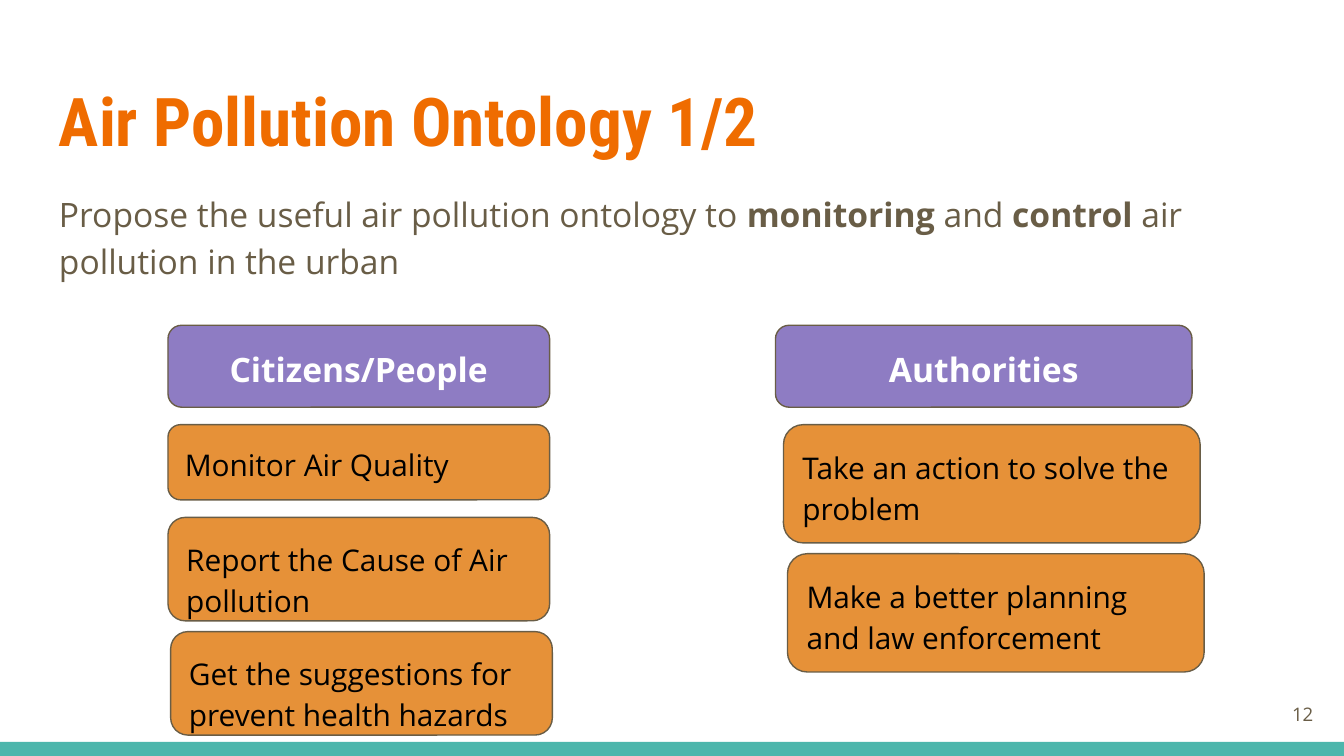
from pptx import Presentation
from pptx.dml.color import RGBColor
from pptx.enum.shapes import MSO_SHAPE
from pptx.enum.text import MSO_ANCHOR, PP_ALIGN
from pptx.util import Inches, Pt

RECT, ROUNDED = MSO_SHAPE.RECTANGLE, MSO_SHAPE.ROUNDED_RECTANGLE
LEFT, CENTER, RIGHT = PP_ALIGN.LEFT, PP_ALIGN.CENTER, PP_ALIGN.RIGHT
TOP, MIDDLE = MSO_ANCHOR.TOP, MSO_ANCHOR.MIDDLE

COLORS = {
    "teal": "4DB6AC",
    "title": "EF6C00",
    "brown": "695D46",
    "purple": "8E7CC3",
    "orange": "E69138",
    "white": "FFFFFF",
    "black": "000000",
}


def color(name):
    return RGBColor.from_string(COLORS[name])


def write(sp, *runs, size=18, fill="brown", font="Open Sans", bold=(),
          align=LEFT, anchor=TOP, spacing=1.15, after=16):
    tf = sp.text_frame
    tf.word_wrap = True
    tf.vertical_anchor = anchor
    tf.margin_left = tf.margin_right = Inches(0.1)
    tf.margin_top = tf.margin_bottom = Inches(0.1)
    p = tf.paragraphs[0]
    p.alignment = align
    p.line_spacing = spacing
    p.space_after = Pt(after)
    for i, text in enumerate(runs):
        r = p.add_run()
        r.text = text
        r.font.name = font
        r.font.size = Pt(size)
        r.font.bold = i in bold
        r.font.color.rgb = color(fill)


prs = Presentation()
prs.slide_width = Inches(10)
prs.slide_height = prs.slide_width * 9 // 16
s = prs.slides.add_slide(prs.slide_layouts[6])

bar_top = Inches(5.52)
bar = s.shapes.add_shape(RECT, 0, bar_top, prs.slide_width, prs.slide_height - bar_top)
bar.shadow.inherit = False
bar.fill.solid()
bar.fill.fore_color.rgb = color("teal")
bar.line.fill.background()

title = s.shapes.add_textbox(Inches(0.34), Inches(0.49), Inches(9.32), Inches(0.77))
write(title, "Air Pollution Ontology 1/2", size=36, fill="title",
      font="Roboto Condensed", bold=(0,), spacing=1.0, after=0)

body = s.shapes.add_textbox(Inches(0.34), Inches(1.3), Inches(9.32), Inches(1))
write(body, "Propose the useful air pollution ontology to ", "monitoring ", "and ",
      "control ", "air pollution in the urban", bold=(1, 3))

number = s.shapes.add_textbox(Inches(9.27), Inches(5.1), Inches(0.6), Inches(0.43))
write(number, "12", size=10, align=RIGHT, anchor=MIDDLE, spacing=1.0, after=0)

header = dict(size=18, fill="white", bold=(0,), align=CENTER)
item = dict(size=16, fill="black")
boxes = [
    ("Citizens/People", 1.25, 2.42, 2.84, 0.61, "purple", header),
    ("Authorities", 5.77, 2.42, 3.1, 0.61, "purple", header),
    ("Monitor Air Quality", 1.25, 3.16, 2.84, 0.56, "orange", item),
    ("Report the Cause of Air pollution", 1.25, 3.85, 2.84, 0.77, "orange", item),
    ("Take an action to solve the problem", 5.83, 3.16, 3.1, 0.88, "orange", item),
    ("Make a better planning and law enforcement", 5.86, 4.12, 3.1, 0.88, "orange", item),
    ("Get the suggestions for prevent health hazards", 1.27, 4.7, 2.84, 0.77, "orange", item),
]
for text, x, y, w, h, fill, style in boxes:
    sp = s.shapes.add_shape(ROUNDED, Inches(x), Inches(y), Inches(w), Inches(h))
    sp.shadow.inherit = False
    sp.fill.solid()
    sp.fill.fore_color.rgb = color(fill)
    sp.line.color.rgb = color("brown")
    sp.line.width = Pt(0.75)
    write(sp, text, **style)

prs.save("out.pptx")
